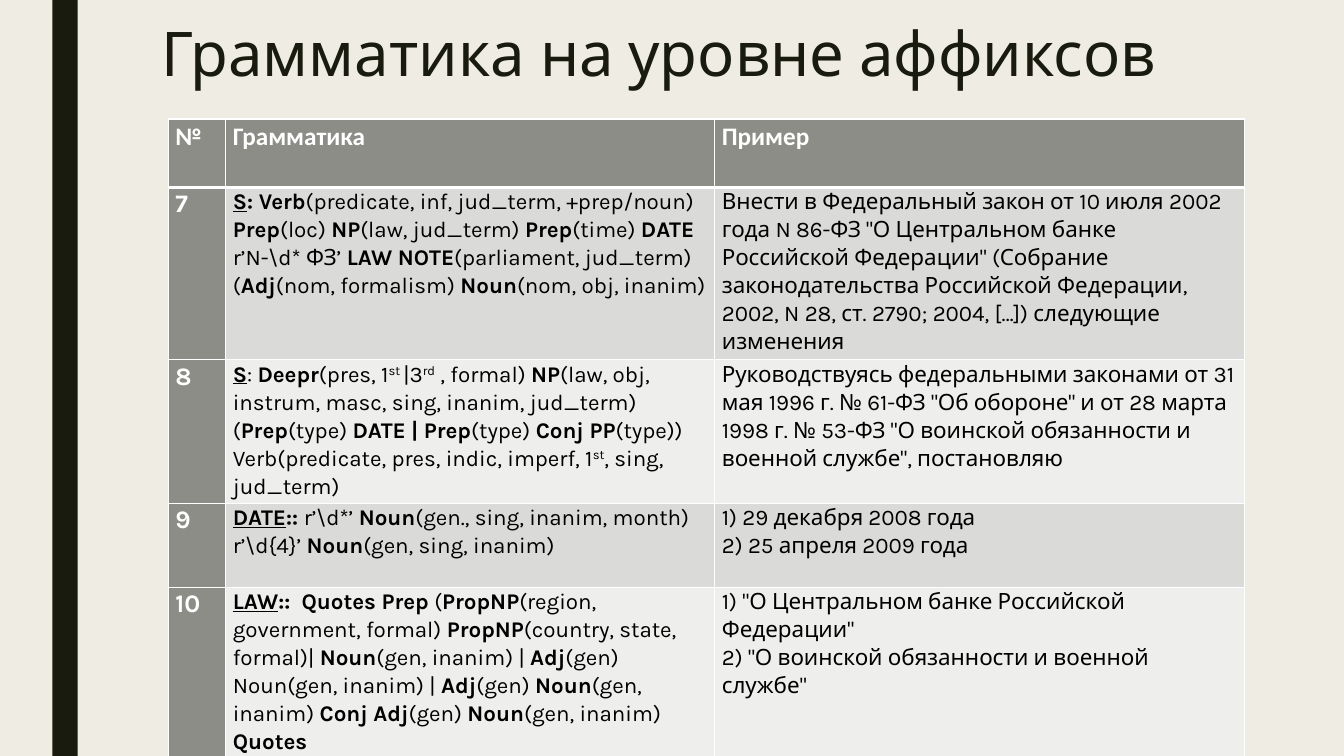
"""Builds the slide with a table of affix-level grammar rules."""
from dataclasses import dataclass
from itertools import accumulate
from typing import Any

from lxml import etree
from pptx import Presentation
from pptx import util as u
from pptx.dml.color import RGBColor
from pptx.enum import shapes, text
from pptx.oxml import ns

SCALE = 9144
COLORS = {
    "page": "EFEDE3", "ink": "191B0E", "head": "8C8D86", "odd": "DADBD9",
    "even": "EEEEED", "white": "FFFFFF", "black": "000000",
}
COLUMN_WIDTHS = (57, 485, 525)
HEADER_HEIGHT = 68
TABLE_LEFT, TABLE_TOP = 167, 118
MARKS = {"~": "bold", "#": "underline", "^": "raised"}


@dataclass(frozen=True)
class Style:
    font: str
    size: int
    color: str


@dataclass(frozen=True)
class Rule:
    number: str
    grammar: tuple[str, ...]
    examples: tuple[str, ...]
    height: int


TITLE = Style("Karla", 44, "ink")
HEADER = Style("Calibri", 18, "white")
NUMBER = Style("Karla", 18, "white")
BODY = Style("Karla", 16, "black")

HEADINGS = ("№", "Грамматика", "Пример")
RULES = (
    Rule("7", (
        r"~#S#: Verb~(predicate, inf, jud_term, +prep/noun) ~Prep~(loc) ~NP~(law, jud_term) "
        r"~Prep~(time) ~DATE ~r’N-\d* ФЗ’ ~LAW NOTE~(parliament, jud_term) "
        r"(~Adj~(nom, formalism) ~Noun~(nom, obj, inanim)",
    ), (
        'Внести в Федеральный закон от 10 июля 2002 года N 86-ФЗ "О Центральном банке '
        'Российской Федерации" (Собрание законодательства Российской Федерации, '
        "2002, N 28, ст. 2790; 2004, […]) следующие изменения",
    ), 167),
    Rule("8", (
        "~#S#~: ~Deepr~(pres, 1^st ^|3^rd^ , formal) ~NP~(law, obj, instrum, masc, sing, "
        "inanim, jud_term) (~Prep~(type) ~DATE | Prep~(type) ~Conj PP~(type))",
        "Verb(predicate, pres, indic, imperf, 1^st^, sing, jud_term)",
    ), (
        'Руководствуясь федеральными законами от 31 мая 1996 г. № 61-ФЗ "Об обороне" '
        'и от 28 марта 1998 г. № 53-ФЗ "О воинской обязанности и военной службе", постановляю',
    ), 139),
    Rule("9", (
        r"~#DATE#:: ~r’\d*’ ~Noun~(gen., sing, inanim, month) r’\d{4}’ "
        "~Noun~(gen, sing, inanim)",
    ), (
        "1) 29 декабря 2008 года",
        "2) 25 апреля 2009 года",
    ), 83),
    Rule("10", (
        "~#LAW#::  Quotes Prep~ (~PropNP~(region, government, formal) "
        "~PropNP~(country, state, formal)| ~Noun~(gen, inanim) | ~Adj~(gen) "
        "Noun(gen, inanim) | ~Adj~(gen) ~Noun~(gen, inanim) ~Conj Adj~(gen) "
        "~Noun~(gen, inanim) ~Quotes~",
    ), (
        '1) "О Центральном банке Российской Федерации"',
        '2) "О воинской обязанности и военной службе"',
    ), 167),
)


def px(length: int) -> u.Emu:
    return u.Emu(length * SCALE)


def rgb(name: str) -> RGBColor:
    return RGBColor.from_string(COLORS[name])


def apply(target: Any, values: dict[str, Any]) -> None:
    for name, value in values.items():
        setattr(target, name, value)


def add_span(para: Any, words: str, style: Style, flags: dict[str, bool]) -> None:
    span = para.add_run()
    span.text = words
    apply(span.font, {
        "name": style.font, "size": u.Pt(style.size),
        "bold": flags["bold"], "underline": flags["underline"],
    })
    span.font.color.rgb = rgb(style.color)
    if flags["raised"]:
        span._r.get_or_add_rPr().set("baseline", "30000")


def add_marked(para: Any, marked: str, style: Style) -> None:
    flags = dict.fromkeys(MARKS.values(), False)
    words = ""
    for letter in marked:
        if letter not in MARKS:
            words += letter
            continue
        if words:
            add_span(para, words, style, flags)
        words = ""
        flags[MARKS[letter]] = not flags[MARKS[letter]]
    if words:
        add_span(para, words, style, flags)


def write(frame: Any, lines: tuple[str, ...], style: Style, spacing: float) -> None:
    for index, line in enumerate(lines):
        para = frame.add_paragraph() if index else frame.paragraphs[0]
        apply(para, {"line_spacing": spacing, "alignment": text.PP_ALIGN.LEFT})
        add_marked(para, line, style)


def add_borders(cell: Any, top: int, bottom: int) -> None:
    properties = cell._tc.get_or_add_tcPr()
    widths = {"lnL": 1, "lnR": 1, "lnT": top, "lnB": bottom}
    for index, (side, width) in enumerate(widths.items()):
        border = etree.Element(ns.qn(f"a:{side}"), w=str(u.Pt(width)))
        fill = etree.SubElement(border, ns.qn("a:solidFill"))
        etree.SubElement(fill, ns.qn("a:srgbClr"), val=COLORS["white"])
        properties.insert(index, border)


def fill_cell(cell: Any, lines: tuple[str, ...], style: Style, fill: str,
              top: int = 1, bottom: int = 1) -> None:
    apply(cell, {
        "margin_left": px(7), "margin_right": px(7), "margin_top": 0,
        "margin_bottom": 0, "vertical_anchor": text.MSO_ANCHOR.TOP,
    })
    cell.fill.solid()
    cell.fill.fore_color.rgb = rgb(fill)
    write(cell.text_frame, lines, style, 1.07)
    add_borders(cell, top, bottom)


def add_rules(page: Any) -> None:
    heights = (HEADER_HEIGHT, *(rule.height for rule in RULES))
    *_, width = accumulate(COLUMN_WIDTHS)
    table = page.shapes.add_table(
        len(heights), len(COLUMN_WIDTHS), px(TABLE_LEFT), px(TABLE_TOP),
        px(width), px(sum(heights))).table
    table.horz_banding = False
    for column, column_width in zip(table.columns, COLUMN_WIDTHS):
        column.width = px(column_width)
    for row, height in zip(table.rows, heights):
        row.height = px(height)
    for index, heading in enumerate(HEADINGS):
        fill_cell(table.cell(0, index), (f"~{heading}~",), HEADER, "head", bottom=3)
    for index, rule in enumerate(RULES, 1):
        band = "odd" if index % 2 else "even"
        top = 3 if index == 1 else 1
        fill_cell(table.cell(index, 0), (f"~{rule.number}~",), NUMBER, "head", top)
        fill_cell(table.cell(index, 1), rule.grammar, BODY, band, top)
        fill_cell(table.cell(index, 2), rule.examples, BODY, band, top)


def main() -> None:
    deck = Presentation()
    apply(deck, {"slide_width": px(1333), "slide_height": px(750)})
    page = deck.slides.add_slide(deck.slide_layouts[6])
    page.background.fill.solid()
    page.background.fill.fore_color.rgb = rgb("page")

    stripe = page.shapes.add_shape(
        shapes.MSO_SHAPE.RECTANGLE, px(52), 0, px(25), px(750))
    stripe.shadow.inherit = False
    stripe.fill.solid()
    stripe.fill.fore_color.rgb = rgb("ink")
    stripe.line.fill.background()

    box = page.shapes.add_textbox(px(150), px(17), px(1060), px(79))
    apply(box.text_frame, {"word_wrap": True, "vertical_anchor": text.MSO_ANCHOR.MIDDLE})
    write(box.text_frame, ("Грамматика на уровне аффиксов",), TITLE, 0.89)

    add_rules(page)
    deck.save("out.pptx")


if __name__ == "__main__":
    main()
